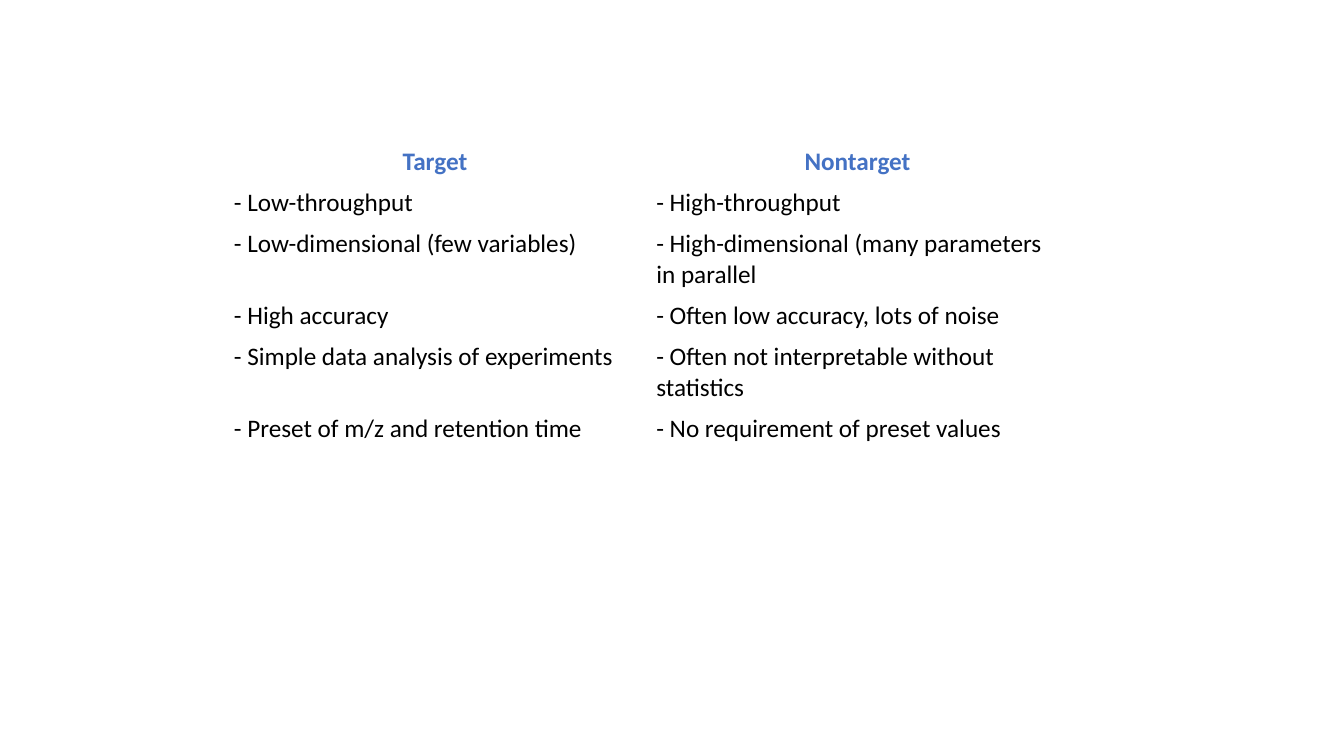
from pptx import Presentation
from pptx.dml.color import RGBColor
from pptx.enum import text
from pptx.util import Inches, Pt

BLUE = RGBColor(0x44, 0x72, 0xC4)
BLACK = RGBColor(0, 0, 0)
ROW_HEIGHT = Inches(0.41)

COMPARISON = [
    ("Target", "Nontarget"),
    ("- Low-throughput", "- High-throughput"),
    ("- Low-dimensional (few variables)",
     "- High-dimensional (many parameters in parallel"),
    ("- High accuracy", "- Often low accuracy, lots of noise"),
    ("- Simple data analysis of experiments",
     "- Often not interpretable without statistics"),
    ("- Preset of m/z and retention time", "- No requirement of preset values"),
]


def fill_cell(cell, wording, is_heading):
    cell.fill.background()
    cell.text_frame.text = wording
    para = cell.text_frame.paragraphs[0]
    para.alignment = text.PP_ALIGN.CENTER if is_heading else text.PP_ALIGN.LEFT
    font = para.runs[0].font
    font.name = "Calibri"
    font.size = Pt(18)
    font.bold = is_heading
    font.color.rgb = BLUE if is_heading else BLACK


def add_comparison(page, left, top, width):
    """Place the two-column table; wrapped rows grow to fit their text."""
    row_count, column_count = len(COMPARISON), len(COMPARISON[0])
    table = page.shapes.add_table(row_count, column_count, left, top, width,
                                  ROW_HEIGHT * row_count).table
    table.first_row = False
    table.horz_banding = False
    for row_index, wordings in enumerate(COMPARISON):
        for column_index, wording in enumerate(wordings):
            fill_cell(table.cell(row_index, column_index), wording, row_index == 0)


def main():
    deck = Presentation()
    deck.slide_width = Inches(13.33)
    deck.slide_height = Inches(7.5)
    page = deck.slides.add_slide(deck.slide_layouts[6])

    # Target and nontarget side by side
    add_comparison(page, Inches(2.22), Inches(1.4), Inches(8.38))

    deck.save("out.pptx")


if __name__ == "__main__":
    main()
